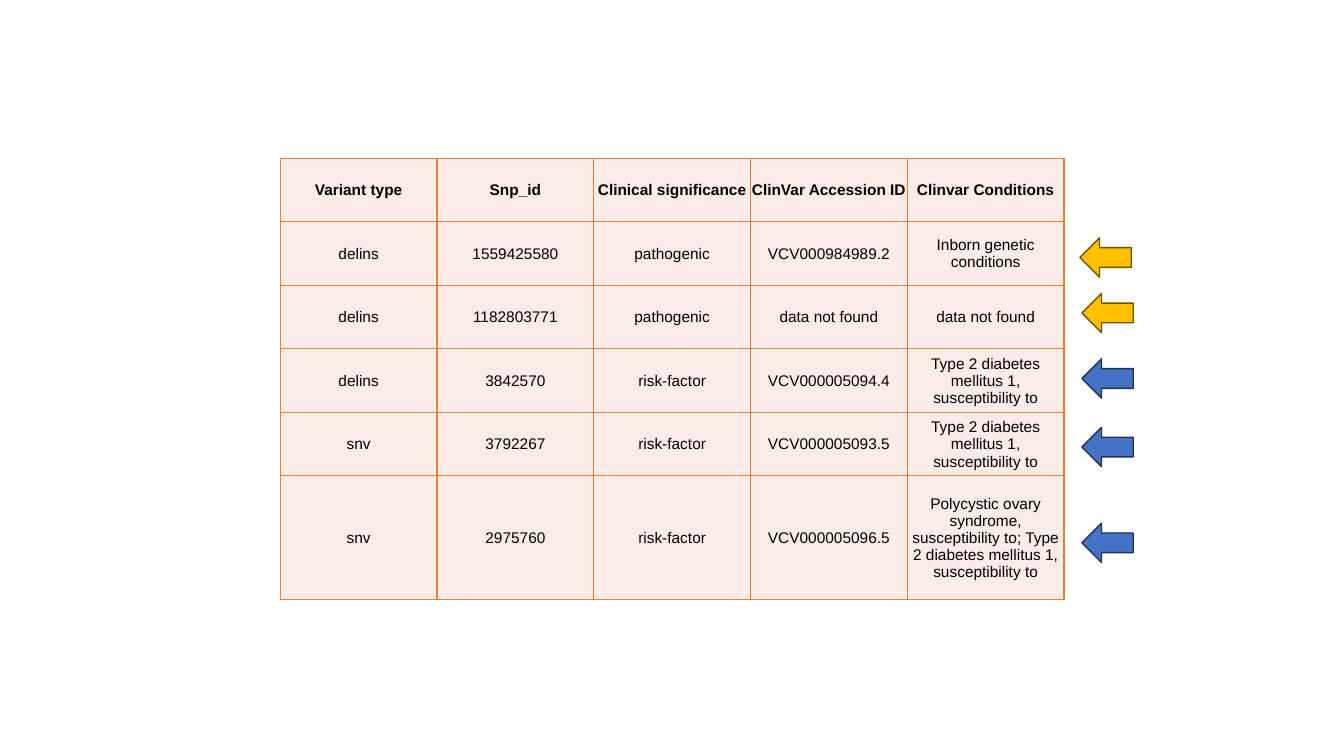
from lxml import etree
from pptx import Presentation
from pptx import util as u
from pptx.dml.color import RGBColor
from pptx.enum import shapes, text
from pptx.oxml import ns

BLACK = RGBColor(0x00, 0x00, 0x00)
BLUSH = RGBColor(0xFC, 0xEC, 0xE8)
ORANGE = RGBColor(0xED, 0x7D, 0x31)
BLUE = RGBColor(0x44, 0x72, 0xC4)
NAVY = RGBColor(0x1E, 0x32, 0x56)
GOLD = RGBColor(0xFF, 0xC0, 0x00)
BROWN = RGBColor(0x70, 0x54, 0x00)

DIABETES = "Type 2 diabetes mellitus 1, susceptibility to"
VARIANTS = [
    ("Variant type", "Snp_id", "Clinical significance", "ClinVar Accession ID", "Clinvar Conditions"),
    ("delins", "1559425580", "pathogenic", "VCV000984989.2", "Inborn genetic conditions"),
    ("delins", "1182803771", "pathogenic", "data not found", "data not found"),
    ("delins", "3842570", "risk-factor", "VCV000005094.4", DIABETES),
    ("snv", "3792267", "risk-factor", "VCV000005093.5", DIABETES),
    ("snv", "2975760", "risk-factor", "VCV000005096.5",
     "Polycystic ovary syndrome, susceptibility to; " + DIABETES),
]
ROW_HEIGHTS = [0.63] * 5 + [1.23]
COLUMN_WIDTH = 1.555

# Arrow positions and colours by clinical significance
RISK_FACTOR = (BLUE, NAVY)
PATHOGENIC = (GOLD, BROWN)
ARROWS = [
    (10.73, 3.56, RISK_FACTOR),
    (10.73, 4.24, RISK_FACTOR),
    (10.73, 5.19, RISK_FACTOR),
    (10.71, 2.36, PATHOGENIC),
    (10.73, 2.91, PATHOGENIC),
]


def apply(target, values):
    for name, value in values.items():
        setattr(target, name, value)


class VariantSlide:
    cell_format = {
        "vertical_anchor": text.MSO_ANCHOR.MIDDLE,
        "margin_left": u.Inches(0.01),
        "margin_right": u.Inches(0.01),
        "margin_top": u.Inches(0.01),
        "margin_bottom": 0,
    }
    font_format = {"name": "Arial", "size": u.Pt(11)}

    def __init__(self, deck):
        self.slide = deck.slides.add_slide(deck.slide_layouts[6])

    def border(self, cell):
        properties = cell._tc.get_or_add_tcPr()
        for position, side in enumerate(("a:lnL", "a:lnR", "a:lnT", "a:lnB")):
            line = etree.Element(ns.qn(side), w=str(u.Pt(1)))
            fill = etree.SubElement(line, ns.qn("a:solidFill"))
            etree.SubElement(fill, ns.qn("a:srgbClr"), val=str(ORANGE))
            properties.insert(position, line)

    def cell(self, cell, wording, bold):
        cell.text = wording
        apply(cell, self.cell_format)
        cell.fill.solid()
        cell.fill.fore_color.rgb = BLUSH
        paragraph = cell.text_frame.paragraphs[0]
        paragraph.alignment = text.PP_ALIGN.CENTER
        font = paragraph.runs[0].font
        apply(font, {**self.font_format, "bold": bold})
        font.color.rgb = BLACK
        self.border(cell)

    def table(self, left, top, rows):
        columns = len(rows[0])
        table = self.slide.shapes.add_table(
            len(rows), columns, u.Inches(left), u.Inches(top),
            u.Inches(COLUMN_WIDTH * columns), u.Inches(sum(ROW_HEIGHTS))).table
        apply(table, {"first_row": False, "horz_banding": False})
        for column in table.columns:
            column.width = u.Inches(COLUMN_WIDTH)
        for r, row in enumerate(rows):
            table.rows[r].height = u.Inches(ROW_HEIGHTS[r])
            for c, wording in enumerate(row):
                self.cell(table.cell(r, c), wording, bold=r == 0)

    def arrow(self, left, top, colours):
        arrow = self.slide.shapes.add_shape(
            shapes.MSO_SHAPE.LEFT_ARROW, u.Inches(left), u.Inches(top),
            u.Inches(0.51), u.Inches(0.39))
        fill, outline = colours
        arrow.shadow.inherit = False
        arrow.fill.solid()
        arrow.fill.fore_color.rgb = fill
        arrow.line.color.rgb = outline
        arrow.line.width = u.Pt(1)


def main():
    deck = Presentation()
    apply(deck, {"slide_width": u.Inches(13.33), "slide_height": u.Inches(7.5)})
    variants = VariantSlide(deck)

    # Variant table
    variants.table(2.78, 1.57, VARIANTS)

    # Arrows pointing at the rows
    for left, top, colours in ARROWS:
        variants.arrow(left, top, colours)

    deck.save("out.pptx")


if __name__ == "__main__":
    main()
